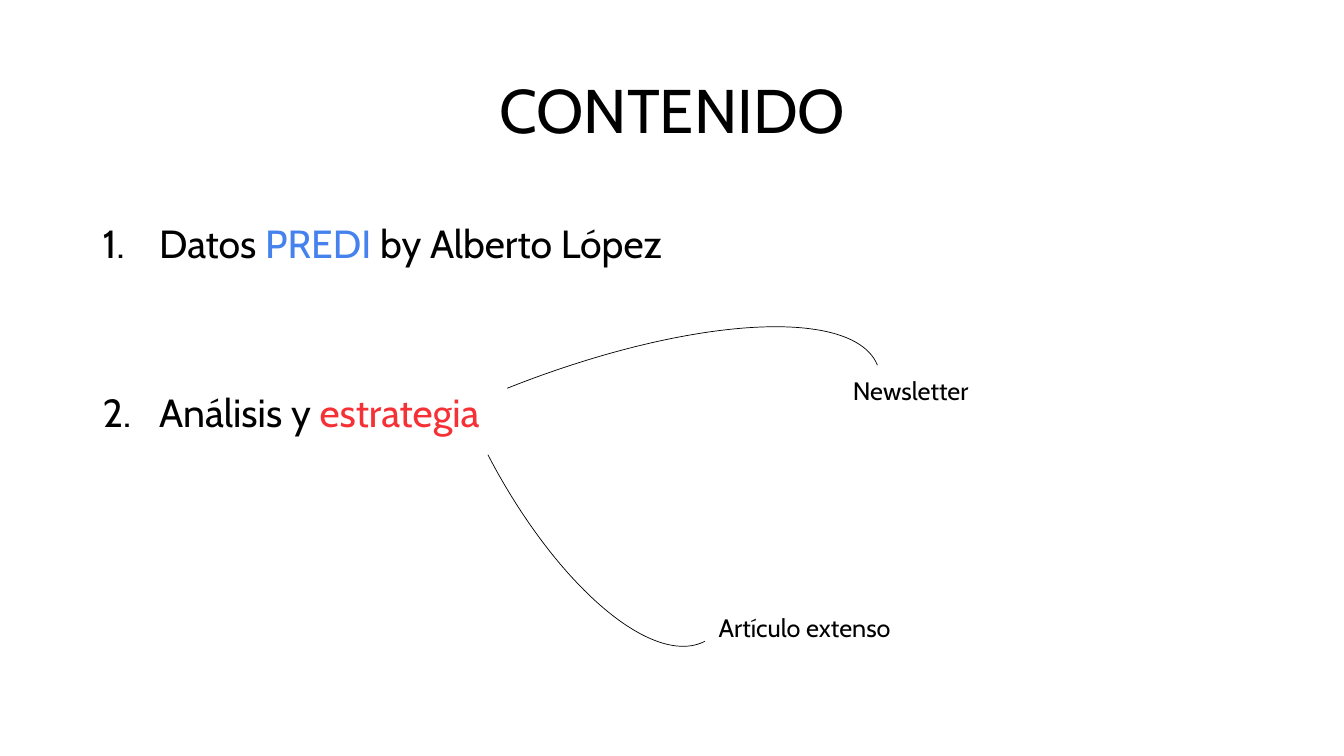
import pptx
import pptx.util
import pptx.dml.color
import pptx.enum.shapes
import pptx.enum.text
import lxml.etree
from pptx.oxml.ns import qn

Inches, Pt = pptx.util.Inches, pptx.util.Pt
BLACK = pptx.dml.color.RGBColor(0x00, 0x00, 0x00)
BLUE = pptx.dml.color.RGBColor(0x45, 0x82, 0xED)
RED = pptx.dml.color.RGBColor(0xF5, 0x31, 0x36)
FONT = "Cabin"
MARGIN, CONTENT_WIDTH = 0.92, 11.5
INDENT = Inches(0.56)


def add_span(para, text, size, color=BLACK):
    span = para.add_run()
    span.text = text
    span.font.name = FONT
    span.font.size = Pt(size)
    span.font.color.rgb = color


deck = pptx.Presentation()
deck.slide_width, deck.slide_height = Inches(13.33), Inches(7.5)
page = deck.slides.add_slide(deck.slide_layouts[5])

# Title
title = page.shapes.title
title.left, title.top = Inches(MARGIN), Inches(0.4)
title.width, title.height = Inches(CONTENT_WIDTH), Inches(1.45)
title.text_frame.auto_size = pptx.enum.text.MSO_AUTO_SIZE.NONE
title.text_frame.vertical_anchor = pptx.enum.text.MSO_ANCHOR.MIDDLE
para = title.text_frame.paragraphs[0]
para.alignment = pptx.enum.text.PP_ALIGN.CENTER
para.line_spacing = 0.9
add_span(para, "CONTENIDO", 44)

# Numbered contents: space before, then coloured spans
topics = [
    (10, [("Datos ", BLACK), ("PREDI", BLUE), (" by Alberto López", BLACK)]),
    (90.5, [("Análisis y ", BLACK), ("estrategia", RED)]),
]
box = page.shapes.add_textbox(Inches(MARGIN), Inches(2.18), Inches(CONTENT_WIDTH), Inches(4.76))
box.text_frame.word_wrap = True
for index, (space, spans) in enumerate(topics):
    para = box.text_frame.add_paragraph() if index else box.text_frame.paragraphs[0]
    para.line_spacing = 0.9
    para.space_before = Pt(space)
    for text, color in spans:
        add_span(para, text, 28, color)
    properties = para._p.get_or_add_pPr()
    properties.set("marL", str(INDENT))
    properties.set("indent", str(-INDENT))
    lxml.etree.SubElement(properties, qn("a:buFont"), typeface="+mj-lt")
    lxml.etree.SubElement(properties, qn("a:buAutoNum"), type="arabicPeriod")

# Branches of the strategy: label, its place, arc place, rotation, flip
branches = [
    ("Newsletter", (8.36, 3.67, 1.45, 0.4), (1.96, 3.77, 6.99, 2.29), 338.3, False),
    ("Artículo extenso", (7.03, 6.03, 2.05, 0.4), (3.14, 2.97, 5.27, 2.11), 62.5, True),
]
for text, label_place, arc_place, rotation, flipped in branches:
    arc = page.shapes.add_shape(pptx.enum.shapes.MSO_SHAPE.ARC, *map(Inches, arc_place))
    arc.rotation = rotation
    arc.shadow.inherit = False
    arc.fill.background()
    arc.line.color.rgb = BLACK
    arc.line.width = Pt(0.5)
    if flipped:
        arc._element.spPr.find(qn("a:xfrm")).set("flipV", "1")

    label = page.shapes.add_textbox(*map(Inches, label_place))
    label.text_frame.word_wrap = False
    label.text_frame.auto_size = pptx.enum.text.MSO_AUTO_SIZE.SHAPE_TO_FIT_TEXT
    add_span(label.text_frame.paragraphs[0], text, 18)

deck.save("out.pptx")
